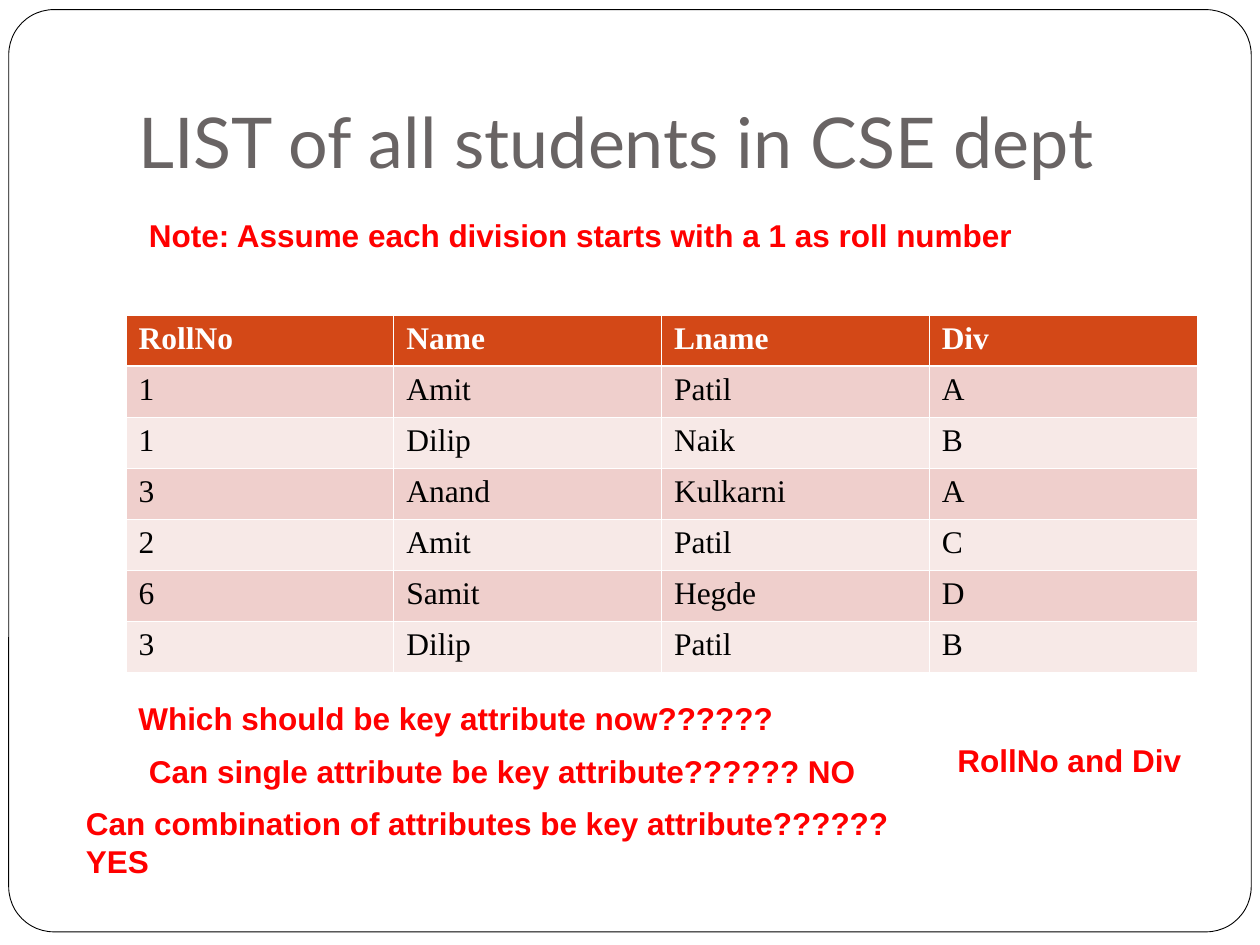
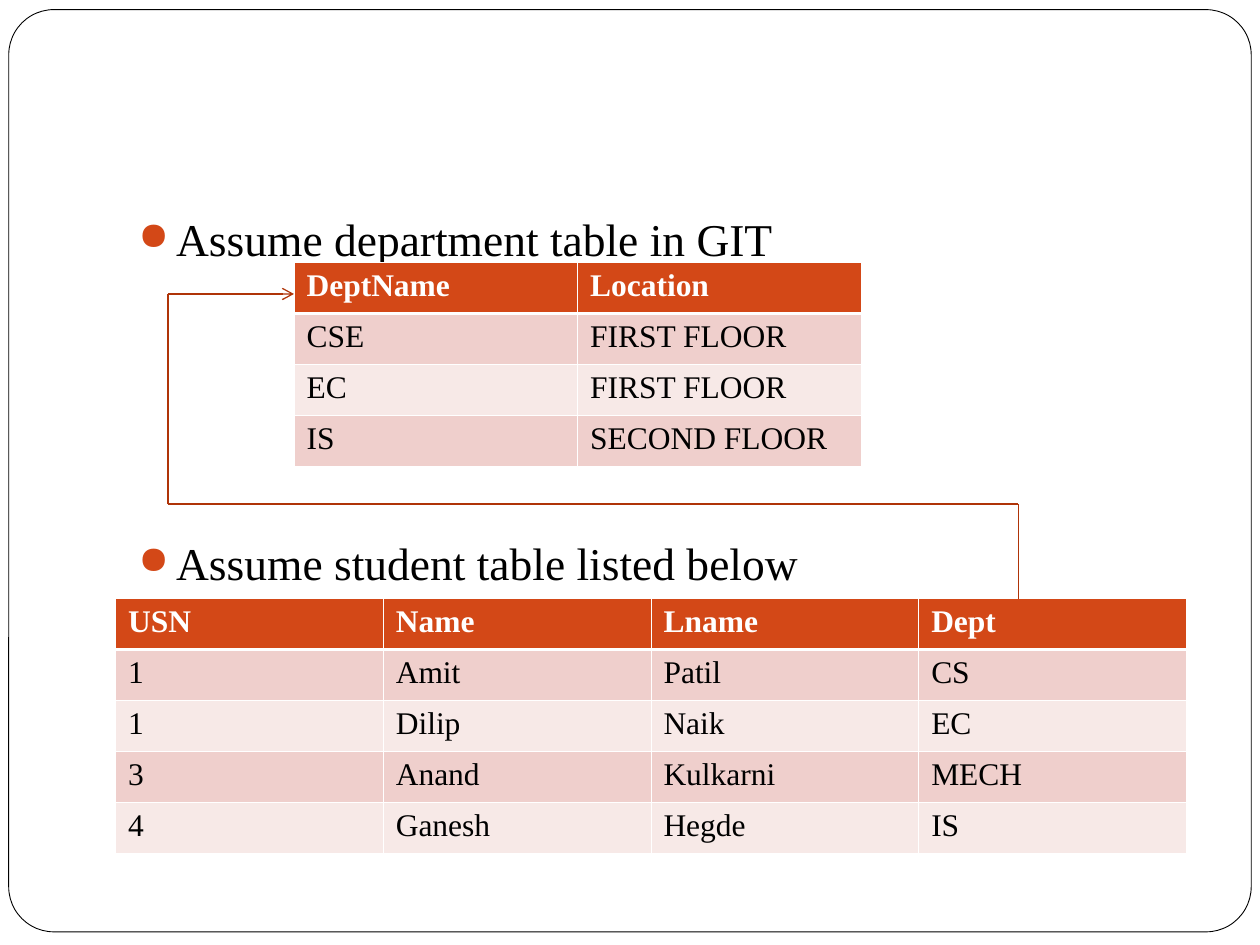
"""Build two slides on key attributes and table references."""
from lxml import etree
from pptx import Presentation
from pptx.dml.color import RGBColor
from pptx.enum.shapes import MSO_CONNECTOR, MSO_SHAPE
from pptx.enum.text import MSO_ANCHOR
from pptx.oxml import parse_xml
from pptx.oxml.ns import nsdecls, qn
from pptx.util import Pt

STRAIGHT = MSO_CONNECTOR.STRAIGHT
ROUNDED = MSO_SHAPE.ROUNDED_RECTANGLE
BOTTOM, TOP = MSO_ANCHOR.BOTTOM, MSO_ANCHOR.TOP

THEME = {
    "white": RGBColor.from_string("FFFFFF"),
    "black": RGBColor.from_string("000000"),
    "accent": RGBColor.from_string("D34817"),
    "bands": [RGBColor.from_string("EFCFCC"), RGBColor.from_string("F7E9E7")],
    "reference": RGBColor.from_string("AF3408"),
    "grid": Pt(0.45),
    "header_rule": Pt(1.47),
    "row": Pt(29.15),
    "title": {"name": "Lato", "size": Pt(40), "color": RGBColor.from_string("696464")},
    "note": {"name": "Arial", "size": Pt(18), "bold": True,
             "color": RGBColor.from_string("FF0000")},
}
THEME["bullet"] = {"name": "Times New Roman", "size": Pt(26), "color": THEME["black"]}
THEME["cell"] = {"name": "Times New Roman", "size": Pt(18), "bold": False,
                 "color": THEME["black"]}
THEME["header"] = {**THEME["cell"], "bold": True, "color": THEME["white"]}


def write(frame, lines, style, **layout):
    """Fill a text frame with paragraphs in one of the theme's styles."""
    for key, value in layout.items():
        setattr(frame, key, value)
    for index, line in enumerate(lines):
        paragraph = frame.paragraphs[0] if index == 0 else frame.add_paragraph()
        run = paragraph.add_run()
        run.text = line
        for key, value in THEME[style].items():
            if key == "color":
                run.font.color.rgb = value
            else:
                setattr(run.font, key, value)


def add_records(slide, left, top, width, records):
    """Add a banded table whose first record is the header."""
    count = len(records[0])
    table = slide.shapes.add_table(len(records), count, Pt(left), Pt(top), Pt(width),
                                   THEME["row"] * len(records)).table
    for column in table.columns:
        column.width = Pt(width / count)
    for r, record in enumerate(records):
        table.rows[r].height = THEME["row"]
        for c, value in enumerate(record):
            cell = table.cell(r, c)
            rules = {"lnL": THEME["grid"], "lnR": THEME["grid"],
                     "lnT": THEME["header_rule"] if r == 1 else THEME["grid"],
                     "lnB": THEME["header_rule"] if r == 0 else THEME["grid"]}
            for side, weight in rules.items():
                cell._tc.get_or_add_tcPr().append(parse_xml(
                    f'<a:{side} {nsdecls("a")} w="{int(weight)}"><a:solidFill>'
                    f'<a:srgbClr val="{THEME["white"]}"/></a:solidFill></a:{side}>'))
            cell.fill.solid()
            cell.fill.fore_color.rgb = THEME["bands"][(r - 1) % 2] if r else THEME["accent"]
            write(cell.text_frame, [value], "cell" if r else "header")


deck = Presentation()
deck.slide_width, deck.slide_height = Pt(720), Pt(540)
blank = deck.slide_layouts[6]
students, reference = (deck.slides.add_slide(blank) for _ in range(2))

for slide in (students, reference):
    border = slide.shapes.add_shape(ROUNDED, Pt(5), Pt(5.5), Pt(710), Pt(527))
    border.adjustments[0] = 0.049
    border.shadow.inherit = False
    border.fill.solid()
    border.fill.fore_color.rgb = THEME["white"]
    border.line.color.rgb = THEME["black"]
    border.line.width = Pt(0.5)

heading = students.shapes.add_textbox(Pt(72), Pt(21.6), Pt(612), Pt(90))
write(heading.text_frame, ["LIST of all students in CSE dept"], "title",
      word_wrap=True, vertical_anchor=BOTTOM, margin_bottom=Pt(7.2))

add_records(students, 72, 180, 612, [
    ("RollNo", "Name", "Lname", "Div"),
    ("1", "Amit", "Patil", "A"),
    ("1", "Dilip", "Naik", "B"),
    ("3", "Anand", "Kulkarni", "A"),
    ("2", "Amit", "Patil", "C"),
    ("6", "Samit", "Hegde", "D"),
    ("3", "Dilip", "Patil", "B"),
])

notes = [
    (78, 120, 582, 29, "Note: Assume each division starts with a 1 as roll number"),
    (72, 396, 510, 29, "Which should be key attribute now??????"),
    (78, 426, 510, 29, "Can single attribute be key attribute?????? NO"),
    (42, 456, 474, 50.5, "Can combination of attributes be key attribute?????? YES"),
    (540, 420, 156, 29, "RollNo and Div"),
]
for left, top, width, height, remark in notes:
    note = students.shapes.add_textbox(Pt(left), Pt(top), Pt(width), Pt(height))
    write(note.text_frame, [remark], "note", word_wrap=True, vertical_anchor=TOP)

assumptions = reference.shapes.add_textbox(Pt(72), Pt(114), Pt(612), Pt(360)).text_frame
write(assumptions,
      ["Assume department table in GIT", "Assume student table listed below"],
      "bullet", word_wrap=True, vertical_anchor=TOP, margin_top=Pt(6.6))
for assumption in assumptions.paragraphs:
    properties = assumption._p.get_or_add_pPr()
    properties.set("marL", str(Pt(21.6)))
    properties.set("indent", str(-Pt(21.6)))
    color = etree.SubElement(properties, qn("a:buClr"))
    etree.SubElement(color, qn("a:srgbClr"), val=str(THEME["accent"]))
    etree.SubElement(properties, qn("a:buSzPct"), val="85000")
    etree.SubElement(properties, qn("a:buChar"), char="●")
assumptions.paragraphs[1].space_before = Pt(154)

add_records(reference, 66, 342, 612, [
    ("USN", "Name", "Lname", "Dept"),
    ("1", "Amit", "Patil", "CS"),
    ("1", "Dilip", "Naik", "EC"),
    ("3", "Anand", "Kulkarni", "MECH"),
    ("4", "Ganesh", "Hegde", "IS"),
])
add_records(reference, 168, 150, 324, [
    ("DeptName", "Location"),
    ("CSE", "FIRST FLOOR"),
    ("EC", "FIRST FLOOR"),
    ("IS", "SECOND FLOOR"),
])

route = [(582, 342), (582, 288), (96, 288), (96, 168), (168, 168)]
for start, end in zip(route, route[1:]):
    leg = reference.shapes.add_connector(STRAIGHT, *map(Pt, start + end))
    leg.line.color.rgb = THEME["reference"]
    leg.line.width = Pt(0.75)
    etree.SubElement(leg._element.spPr, qn("a:effectLst"))
etree.SubElement(leg.line._get_or_add_ln(), qn("a:tailEnd"), type="arrow")

deck.save("out.pptx")
